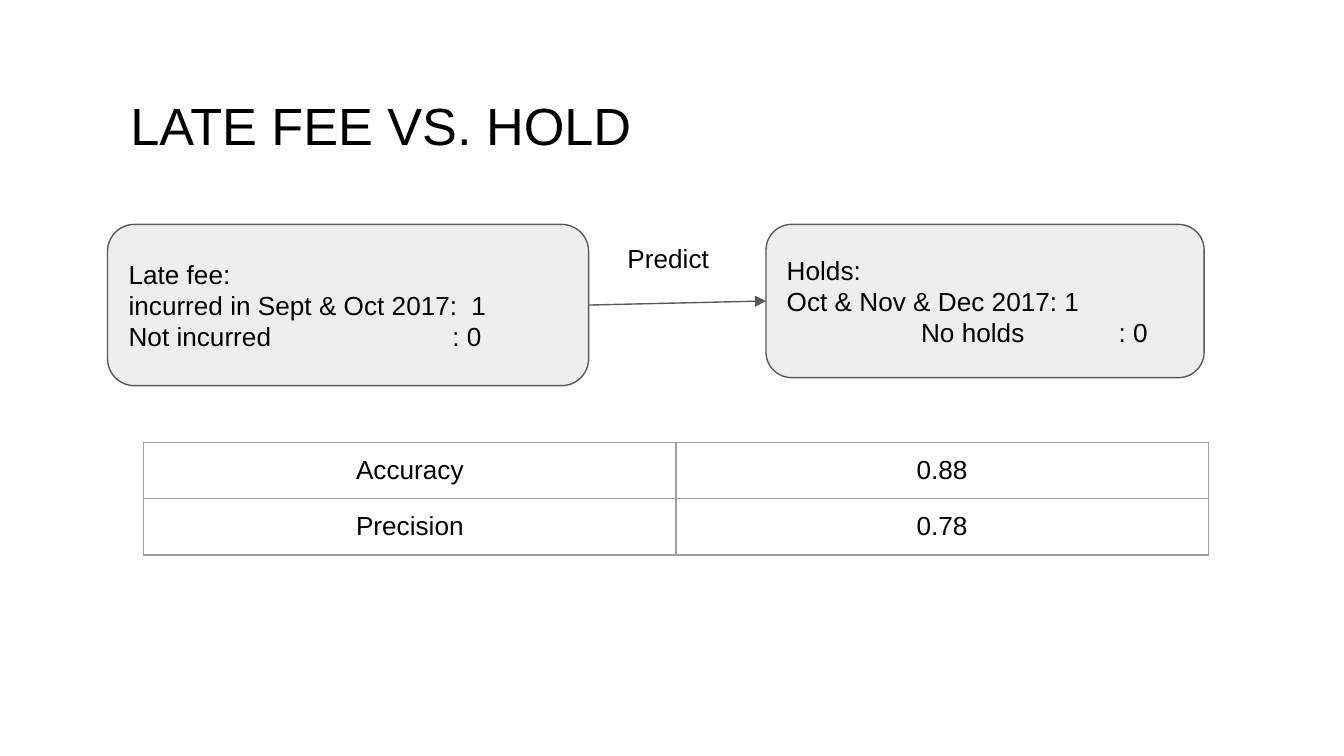
from lxml import etree
from pptx import Presentation
from pptx.dml.color import RGBColor
from pptx.enum.shapes import MSO_CONNECTOR, MSO_SHAPE
from pptx.enum.text import MSO_ANCHOR, MSO_AUTO_SIZE, PP_ALIGN
from pptx.oxml.ns import qn
from pptx.util import Inches, Pt

LEFT, CENTER = PP_ALIGN.LEFT, PP_ALIGN.CENTER
TOP, MIDDLE = MSO_ANCHOR.TOP, MSO_ANCHOR.MIDDLE
ROUNDED, STRAIGHT = MSO_SHAPE.ROUNDED_RECTANGLE, MSO_CONNECTOR.STRAIGHT
NO_FIT = MSO_AUTO_SIZE.NONE

SLIDE_W = 10
SLIDE_H = SLIDE_W * 9 / 16
FONT, TEXT, PANEL, LINE, GRID = "Arial", "000000", "EEEEEE", "595959", "9E9E9E"
TITLE_SIZE, BODY_SIZE = 28, 14
LINE_WIDTH, INSET = 0.75, 0.1

TITLE = "LATE FEE VS. HOLD"
ARROW_LABEL = "Predict"
BOX_TOP = 1.67
BOXES = [
    (0.8, 3.58, 1.2, [
        ("Late fee:", []),
        ("incurred in Sept & Oct 2017:\t1", [2.55]),
        ("Not incurred\t: 0", [2.41]),
    ]),
    (5.7, 3.26, 1.14, [
        ("Holds:", []),
        ("Oct & Nov & Dec 2017: 1", []),
        ("\tNo holds\t: 0", [1, 2.47]),
    ]),
]
METRICS = [("Accuracy", "0.88"), ("Precision", "0.78")]
TABLE_LEFT, TABLE_TOP, COL_W, ROW_H = 1.07, 3.29, 3.96, 0.42


def rgb(value):
    return RGBColor.from_string(value)


def set_text(tf, text, size=BODY_SIZE, align=LEFT):
    tf.text = text
    for p in tf.paragraphs:
        p.alignment = align
        for r in p.runs:
            r.font.name = FONT
            r.font.size = Pt(size)
            r.font.color.rgb = rgb(TEXT)


def set_frame(tf, anchor):
    tf.word_wrap = True
    tf.auto_size = NO_FIT
    tf.vertical_anchor = anchor
    tf.margin_left = tf.margin_right = Inches(INSET)
    tf.margin_top = tf.margin_bottom = Inches(INSET)


def set_tabs(p, stops):
    if stops:
        tabs = etree.SubElement(p._p.get_or_add_pPr(), qn("a:tabLst"))
        for stop in stops:
            etree.SubElement(tabs, qn("a:tab"), pos=str(Inches(stop)), algn="l")


def set_line(line):
    line.color.rgb = rgb(LINE)
    line.width = Pt(LINE_WIDTH)


def add_box(s, left, width, height, lines):
    sp = s.shapes.add_shape(ROUNDED, Inches(left), Inches(BOX_TOP),
                            Inches(width), Inches(height))
    sp.shadow.inherit = False
    sp.fill.solid()
    sp.fill.fore_color.rgb = rgb(PANEL)
    set_line(sp.line)
    tf = sp.text_frame
    set_text(tf, "\n".join(text for text, _ in lines))
    set_frame(tf, MIDDLE)
    for p, (_, stops) in zip(tf.paragraphs, lines):
        set_tabs(p, stops)
    return sp


def add_arrow(s, start, end):
    arrow = s.shapes.add_connector(STRAIGHT, 0, 0, 0, 0)
    arrow.begin_connect(start, 3)
    arrow.end_connect(end, 1)
    set_line(arrow.line)
    etree.SubElement(arrow.line._get_or_add_ln(), qn("a:tailEnd"), type="triangle")
    etree.SubElement(arrow._element.spPr, qn("a:effectLst"))


def set_borders(cell):
    tcPr = cell._tc.get_or_add_tcPr()
    for i, side in enumerate(("lnL", "lnR", "lnT", "lnB")):
        ln = etree.Element(qn(f"a:{side}"), w=str(Pt(LINE_WIDTH)))
        fill = etree.SubElement(ln, qn("a:solidFill"))
        etree.SubElement(fill, qn("a:srgbClr"), val=GRID)
        tcPr.insert(i, ln)


def add_metrics(s):
    rows, cols = len(METRICS), len(METRICS[0])
    table = s.shapes.add_table(rows, cols, Inches(TABLE_LEFT), Inches(TABLE_TOP),
                               Inches(COL_W * cols), Inches(ROW_H * rows)).table
    table.first_row = table.horz_banding = False
    for row, values in zip(table.rows, METRICS):
        for cell, value in zip(row.cells, values):
            set_text(cell.text_frame, value, align=CENTER)
            cell.vertical_anchor = MIDDLE
            cell.margin_left = cell.margin_right = Inches(INSET)
            cell.margin_top = cell.margin_bottom = Inches(INSET)
            cell.fill.background()
            set_borders(cell)


def main():
    prs = Presentation()
    prs.slide_width, prs.slide_height = Inches(SLIDE_W), Inches(SLIDE_H)
    s = prs.slides.add_slide(prs.slide_layouts[5])

    title = s.shapes.title
    title.left, title.top = Inches(0.87), Inches(0.62)
    title.width, title.height = Inches(5.63), Inches(0.62)
    set_text(title.text_frame, TITLE, TITLE_SIZE)
    set_frame(title.text_frame, MIDDLE)

    late_fee, holds = [add_box(s, *box) for box in BOXES]
    add_arrow(s, late_fee, holds)

    label = s.shapes.add_textbox(Inches(4.57), Inches(1.7), Inches(0.92), Inches(0.29))
    set_text(label.text_frame, ARROW_LABEL)
    set_frame(label.text_frame, TOP)

    add_metrics(s)
    prs.save("out.pptx")


if __name__ == "__main__":
    main()
